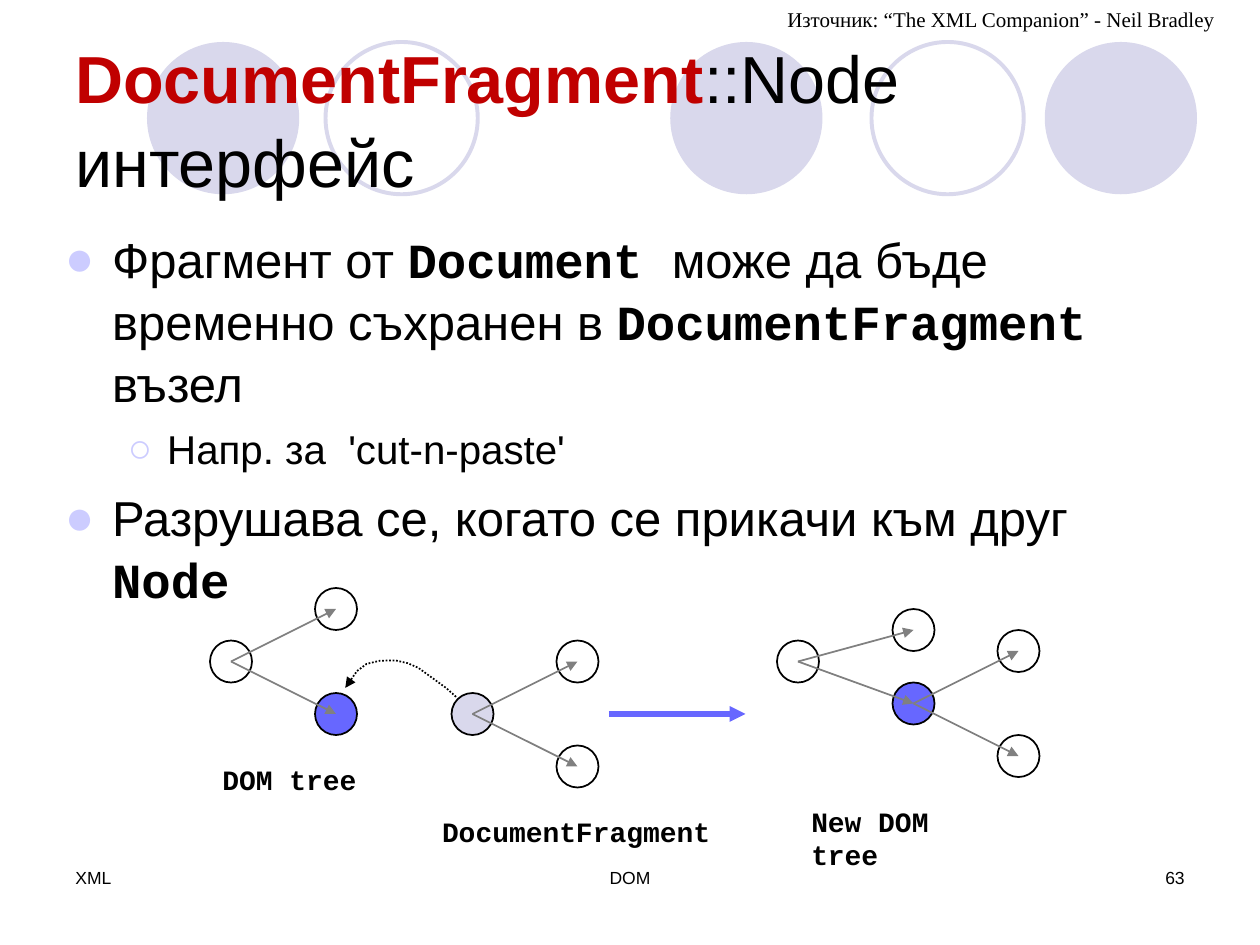
import pptx
import pptx.util
import pptx.dml.color
import pptx.enum.dml
import pptx.enum.shapes
import pptx.enum.text
import pptx.oxml.ns
import lxml.etree

Pt = pptx.util.Pt
qn = pptx.oxml.ns.qn
Kind = pptx.enum.shapes.MSO_SHAPE
Align = pptx.enum.text.PP_ALIGN
Anchor = pptx.enum.text.MSO_ANCHOR
hues = {"black": "000000", "white": "FFFFFF", "red": "C00000", "pale": "D9D8EC",
        "blue": "6767FF", "dot": "CCCCFF", "gray": "808080"}
rgb = {k: pptx.dml.color.RGBColor.from_string(v) for k, v in hues.items()}

deck = pptx.Presentation()
deck.slide_width, deck.slide_height = Pt(720), Pt(540)
slide = deck.slides.add_slide(deck.slide_layouts[6])
shapes = slide.shapes


def write(paras, box, size=16, font="Arial", bold=False, align=Align.LEFT,
          anchor=Anchor.TOP, wrap=True, space=1.0):
    """Each paragraph is (runs, format); each run is (text, font changes)."""
    if isinstance(paras, str):
        paras = [([(paras, {})], {})]
    frame = shapes.add_textbox(*[Pt(v) for v in box]).text_frame
    frame.word_wrap, frame.vertical_anchor = wrap, anchor
    for i, (runs, form) in enumerate(paras):
        para = frame.paragraphs[0] if i == 0 else frame.add_paragraph()
        para.alignment, para.line_spacing = align, space
        para.space_before = Pt(form.get("before", 0) if i else 0)
        if "mark" in form:
            props = para._p.get_or_add_pPr()
            props.set("marL", str(Pt(form["left"])))
            props.set("indent", str(-Pt(form["hang"])))
            tint = lxml.etree.SubElement(props, qn("a:buClr"))
            lxml.etree.SubElement(tint, qn("a:srgbClr"), val=hues["dot"])
            lxml.etree.SubElement(props, qn("a:buFont"), typeface="Arial")
            lxml.etree.SubElement(props, qn("a:buChar"), char=form["mark"])
        for text, diff in runs:
            run = para.add_run()
            run.text = text
            run.font.name = diff.get("font", font)
            run.font.size = Pt(form.get("size", size))
            run.font.bold = diff.get("bold", bold)
            run.font.color.rgb = rgb[diff.get("hue", "black")]


def ink(item, hue, width, arrow=True):
    item.line.color.rgb = rgb[hue]
    item.line.width = Pt(width)
    if arrow:
        line = item.line._get_or_add_ln()
        lxml.etree.SubElement(line, qn("a:tailEnd"), type="triangle")
        if item._element.spPr.find(qn("a:effectLst")) is None:
            lxml.etree.SubElement(item._element.spPr, qn("a:effectLst"))


# Circles behind the title
for left, full in [(383, True), (597, True), (84, True), (498, False), (186, False)]:
    ring = shapes.add_shape(Kind.OVAL, Pt(left), Pt(24), Pt(87), Pt(87))
    ring.shadow.inherit = False
    if full:
        ring.fill.solid()
        ring.fill.fore_color.rgb = rgb["pale"]
        ring.line.fill.background()
    else:
        ring.fill.background()
        ink(ring, "pale", 2.25, arrow=False)

# Footer
write("XML", (36, 492, 168, 36), size=10)
write("DOM", (246, 492, 228, 36), size=10, align=Align.CENTER)
write("63", (516, 492, 168, 36), size=10, align=Align.RIGHT)

# Title
write([([("DocumentFragment", {"bold": True, "hue": "red"}),
         ("::Node интерфейс", {})], {})],
      (36, 21.6, 648, 90), size=38, anchor=Anchor.MIDDLE, space=1.05)

# Bullets
code = {"font": "Courier New", "bold": True}
main = {"mark": "●", "left": 27, "hang": 27, "before": 7}
sub = {"mark": "○", "left": 58.5, "hang": 22.5, "before": 5.8, "size": 23}
write([([("Фрагмент от ", {}), ("Document ", code),
         ("може да бъде временно съхранен в ", {}),
         ("DocumentFragment ", code), ("възел", {})], main),
       ([("Напр. за  'cut-n-paste'", {})], sub),
       ([("Разрушава се, когато се прикачи към друг ", {}), ("Node", code)], main)],
      (30, 126, 642, 324), size=28, space=1.05)

# Trees: nodes as (centre x, centre y, fill), edges as node pairs
trees = [
    ([(456, 378, "white"), (522, 360, "white"), (522, 402, "blue"),
      (582, 432, "white"), (582, 372, "white")], [(0, 1), (0, 2), (2, 4), (2, 3)]),
    ([(132, 378, "white"), (192, 408, "blue"), (192, 348, "white")], [(0, 2), (0, 1)]),
    ([(270, 408, "pale"), (330, 438, "white"), (330, 378, "white")], [(0, 2), (0, 1)]),
]
size = 24
links = []
for nodes, edges in trees:
    for x, y, hue in nodes:
        node = shapes.add_shape(Kind.OVAL, Pt(x - size / 2), Pt(y - size / 2),
                                Pt(size), Pt(size))
        node.shadow.inherit = False
        node.fill.solid()
        node.fill.fore_color.rgb = rgb[hue]
        ink(node, "black", 1, arrow=False)
    links = [(*nodes[a][:2], *nodes[b][:2], "gray", 1) for a, b in edges]
    if nodes is trees[-1][0]:
        links.append((348, 408, 426, 408, "blue", 3))
    for *ends, hue, width in links:
        link = shapes.add_connector(pptx.enum.shapes.MSO_CONNECTOR.STRAIGHT,
                                    *[Pt(v) for v in ends])
        ink(link, hue, width)

# Dotted arc from the fragment to the tree
arc = [(260.6, 398.2), (254.9, 393.1), (239, 381.6), (233, 379), (226, 377.4),
       (217, 377.6), (209.5, 379.4), (204, 383.5), (197.3, 393.1)]
pen = shapes.build_freeform(Pt(arc[0][0]), Pt(arc[0][1]))
pen.add_line_segments([(Pt(x), Pt(y)) for x, y in arc[1:]], close=False)
curve = pen.convert_to_shape()
curve.shadow.inherit = False
curve.fill.background()
curve.line.dash_style = pptx.enum.dml.MSO_LINE.ROUND_DOT
ink(curve, "black", 1)

# Captions and source
for text, left, top, width in [("DocumentFragment", 245.5, 462, 168),
                               ("DOM tree", 120, 432, 91),
                               ("New DOM tree", 456.5, 456, 129)]:
    write(text, (left, top, width, 26.6), font="Courier New", bold=True, wrap=False)
write("Източник: “The XML Companion” - Neil Bradley", (442.8, 0, 259.2, 21.6),
      size=12, font="Times New Roman", wrap=False)

deck.save("out.pptx")
